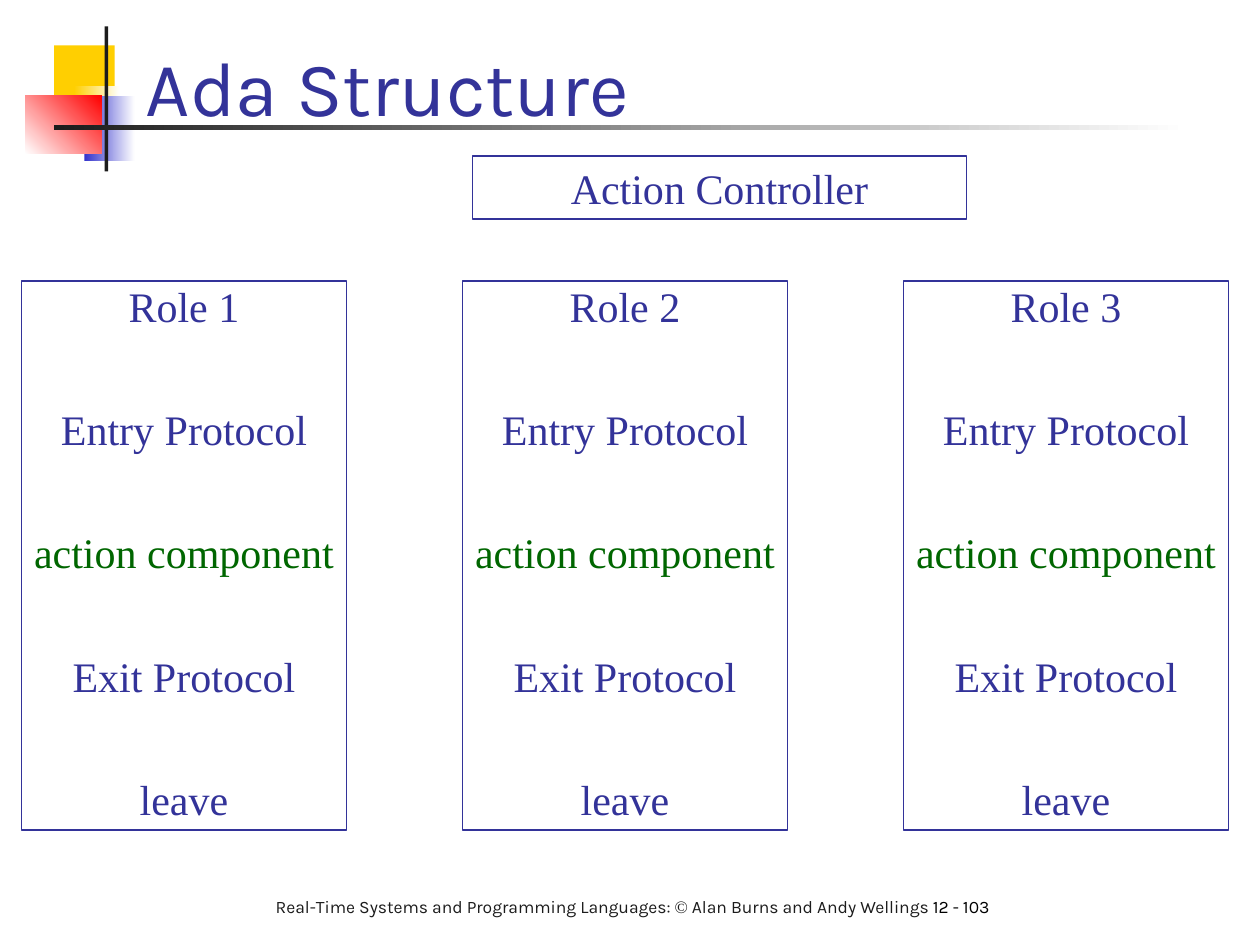
from pptx import Presentation
from pptx.dml.color import RGBColor
from pptx.enum.shapes import MSO_SHAPE as Shape
from pptx.enum.text import MSO_ANCHOR as Anchor, PP_ALIGN as Align
from pptx.util import Inches, Pt

COLORS = {
    "navy": "333399", "green": "006600", "ink": "1C1C1C", "black": "000000",
    "gold": "FFCF01", "blue": "3333CC", "red": "FF0000", "white": "FFFFFF",
}
SANS, SERIF = "Karla", "Times New Roman"

# Content: (left, top, width, height), first colour, last colour, gradient angle
DECORATION = [
    ((0.43, 0.36, 0.48, 0.52), "gold", None, 0),
    ((0.59, 0.68, 0.36, 0.52), "gold", "white", 0),
    ((0.67, 0.76, 0.4, 0.52), "blue", "white", 0),
    ((0.2, 0.76, 0.61, 0.46), "white", "red", 45),
    ((0.83, 0.21, 0.03, 1.15), "ink", None, 0),
    ((0.43, 0.99, 9, 0.04), "ink", "white", 0),
]
TITLE = "Ada Structure"
FOOTER = [
    ("Real-Time Systems and Programming Languages: ", SANS, "ink"),
    ("©", SERIF, "ink"),
    (" Alan Burns and Andy Wellings ", SANS, "ink"),
    ("12 - 103", SANS, "black"),
]
CONTROLLER = "Action Controller"
ROLES = ["Role 1", "Role 2", "Role 3"]
STEPS = [
    ("Entry Protocol", "navy"), ("action component", "green"),
    ("Exit Protocol", "navy"), ("leave", "navy"),
]
ROLE_LEFT, ROLE_PITCH, STEP_GAP = 0.17, 3.5, 41.7


def color(name):
    return RGBColor.from_string(COLORS[name])


def place(area):
    return [Inches(length) for length in area]


def add_rectangle(page, area):
    box = page.shapes.add_shape(Shape.RECTANGLE, *place(area))
    box.shadow.inherit = False
    return box


def set_frame(box, anchor, wrap=True):
    frame = box.text_frame
    values = {
        "word_wrap": wrap, "vertical_anchor": anchor,
        "margin_left": Inches(0.1), "margin_right": Inches(0.1),
        "margin_top": Inches(0.05), "margin_bottom": Inches(0.05),
    }
    for name, value in values.items():
        setattr(frame, name, value)
    return frame


def add_span(para, text, size, font, tint):
    span = para.add_run()
    span.text = text
    for name, value in {"size": Pt(size), "name": font}.items():
        setattr(span.font, name, value)
    span.font.color.rgb = color(tint)


def add_decoration(page, area, first, last, angle):
    box = add_rectangle(page, area)
    box.line.fill.background()
    if last is None:
        box.fill.solid()
        box.fill.fore_color.rgb = color(first)
        return
    box.fill.gradient()
    box.fill.gradient_angle = angle
    for stop, tint in zip(box.fill.gradient_stops, (first, last)):
        stop.color.rgb = color(tint)


def add_outlined_box(page, area, lines, anchor, wrap):
    box = add_rectangle(page, area)
    box.fill.background()
    box.line.color.rgb = color("navy")
    box.line.width = Pt(1)
    frame = set_frame(box, anchor, wrap)
    for index, (text, tint) in enumerate(lines):
        para = frame.add_paragraph() if index else frame.paragraphs[0]
        para.alignment = Align.CENTER
        para.space_before = Pt(STEP_GAP if index else 0)
        add_span(para, text, 24, SERIF, tint)


def add_text(page, area, spans, size, anchor):
    box = page.shapes.add_textbox(*place(area))
    para = set_frame(box, anchor).paragraphs[0]
    for text, font, tint in spans:
        add_span(para, text, size, font, tint)


def main():
    deck = Presentation()
    deck.slide_width, deck.slide_height = Inches(10), Inches(7.5)
    page = deck.slides.add_slide(deck.slide_layouts[6])

    # Corner squares and rules
    for part in DECORATION:
        add_decoration(page, *part)

    # Footer and title
    add_text(page, (2.09, 7.06, 6.06, 0.46), FOOTER, 10, Anchor.TOP)
    add_text(page, (1.06, 0.13, 8.52, 0.97), [(TITLE, SANS, "navy")], 44, Anchor.BOTTOM)

    # Controller above the evenly spaced roles
    add_outlined_box(page, (3.75, 1.24, 3.92, 0.5), [(CONTROLLER, "navy")], Anchor.MIDDLE, True)
    for index, role in enumerate(ROLES):
        area = (ROLE_LEFT + index * ROLE_PITCH, 2.23, 2.58, 4.36)
        add_outlined_box(page, area, [(role, "navy")] + STEPS, Anchor.BOTTOM, False)

    deck.save("out.pptx")


if __name__ == "__main__":
    main()
